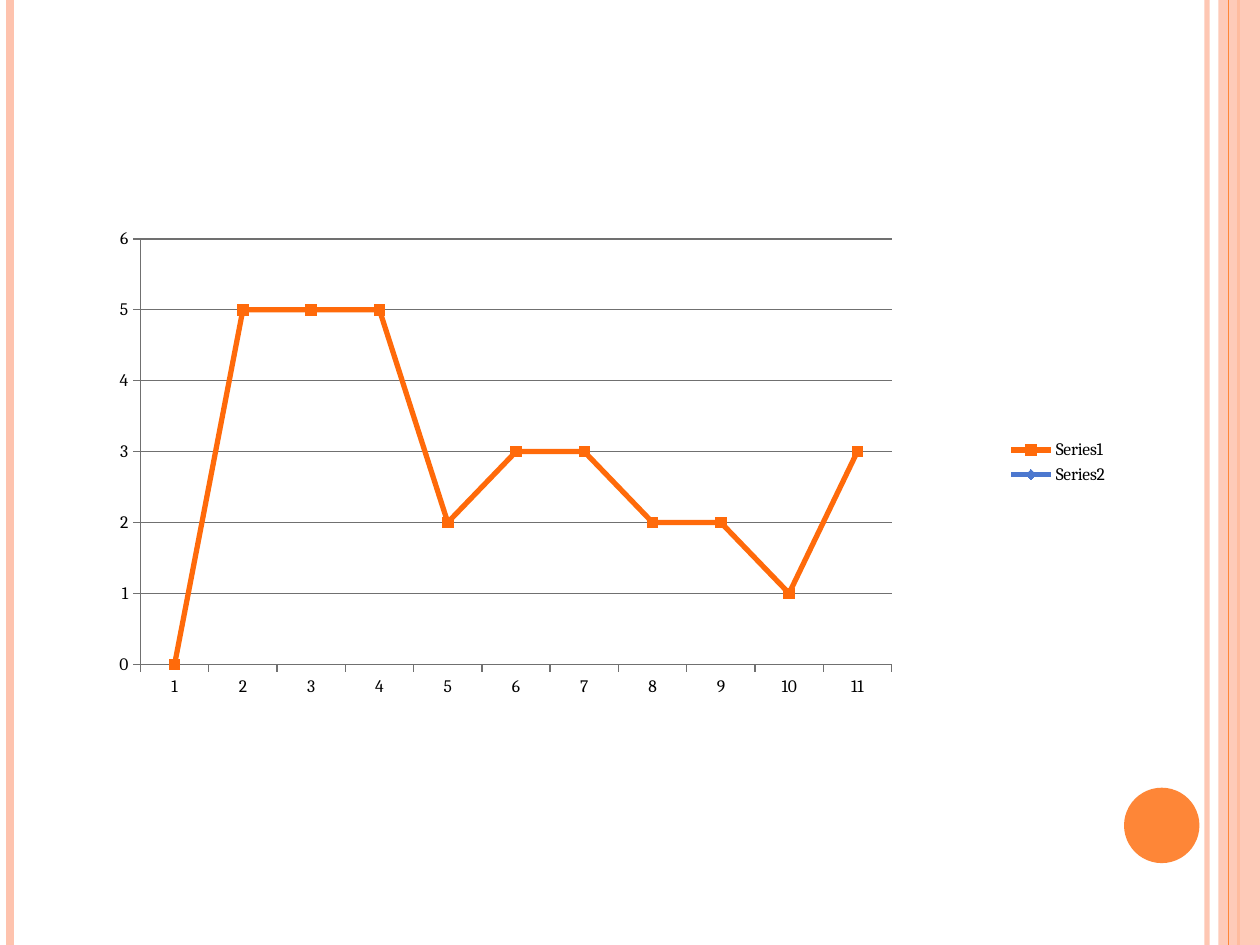
from lxml import etree
from pptx import Presentation
from pptx import util as u
from pptx.chart.data import CategoryChartData
from pptx.dml.color import RGBColor
from pptx.enum import chart as ch, shapes
from pptx.oxml import parse_xml
from pptx.oxml.ns import nsdecls, qn

WIDTH, HEIGHT = 25.4, 19.05
PEACH, ORANGE, AXIS_GREY = "FEC3AE", "FE8637", "707070"
LINE_STYLES = [("FF6A0A", ch.XL_MARKER_STYLE.SQUARE),
               ("4C78CF", ch.XL_MARKER_STYLE.DIAMOND)]


def rgb(value):
    return RGBColor.from_string(value)


def set_alpha(fill, percent):
    """Make the solid colour of a fill partly transparent."""
    color = fill._xPr.find(qn("a:solidFill"))[0]
    etree.SubElement(color, qn("a:alpha"), val=str(percent * 1000))


def add_stripe(slide, x, color, points, alpha=100):
    """Full-height vertical line."""
    stripe = slide.shapes.add_connector(
        shapes.MSO_CONNECTOR.STRAIGHT, u.Cm(x), 0, u.Cm(x), u.Cm(HEIGHT))
    stripe.line.color.rgb = rgb(color)
    stripe.line.width = u.Pt(points)
    if alpha < 100:
        set_alpha(stripe.line.fill, alpha)
    etree.SubElement(stripe._element.spPr, qn("a:effectLst"))


def add_filled(slide, kind, left, top, width, height, color, alpha=100):
    shape = slide.shapes.add_shape(
        kind, u.Cm(left), u.Cm(top), u.Cm(width), u.Cm(height))
    shape.shadow.inherit = False
    shape.fill.solid()
    shape.fill.fore_color.rgb = rgb(color)
    if alpha < 100:
        set_alpha(shape.fill, alpha)
    shape.line.fill.background()


def style_line(line, color, points):
    line.color.rgb = rgb(color)
    line.width = u.Pt(points)


def place_plot(chart, x, y, w, h):
    """Fix the inner plot area, in fractions of the chart."""
    plot_area = chart._chartSpace.chart.plotArea
    for old in plot_area.findall(qn("c:layout")):
        plot_area.remove(old)
    sizes = "".join(f'<c:{tag} val="{value}"/>'
                    for tag, value in zip("xywh", (x, y, w, h)))
    plot_area.insert(0, parse_xml(
        f'<c:layout {nsdecls("c")}><c:manualLayout>'
        '<c:layoutTarget val="inner"/><c:xMode val="edge"/><c:yMode val="edge"/>'
        f'{sizes}</c:manualLayout></c:layout>'))


def add_line_chart(slide):
    values = [0, 5, 5, 5, 2, 3, 3, 2, 2, 1, 3]
    data = CategoryChartData()
    data.categories = [str(n) for n in range(1, len(values) + 1)]
    data.add_series("Series1", values)
    data.add_series("Series2", [None] * len(values))
    chart = slide.shapes.add_chart(
        ch.XL_CHART_TYPE.LINE_MARKERS, u.Cm(1.57), u.Cm(3.96),
        u.Cm(21.03), u.Cm(10.72), data).chart

    chart.has_title = False
    chart.font.name = "Cambria"
    chart.font.size = u.Pt(10)
    chart.font.color.rgb = rgb("000000")
    chart.has_legend = True
    chart.legend.position = ch.XL_LEGEND_POSITION.RIGHT
    chart.legend.include_in_layout = False
    place_plot(chart, 0.06, 0.08, 0.72, 0.8)

    for axis in (chart.category_axis, chart.value_axis):
        axis.major_tick_mark = ch.XL_TICK_MARK.OUTSIDE
        axis.minor_tick_mark = ch.XL_TICK_MARK.NONE
        style_line(axis.format.line, AXIS_GREY, 0.75)
    scale = chart.value_axis
    scale.minimum_scale, scale.maximum_scale, scale.major_unit = 0, 6, 1
    scale.has_major_gridlines = True
    style_line(scale.major_gridlines.format.line, AXIS_GREY, 0.75)

    chart.plots[0].vary_by_categories = False
    for series, (color, marker_style) in zip(chart.plots[0].series, LINE_STYLES):
        series.smooth = False
        style_line(series.format.line, color, 3)
        series.marker.style = marker_style
        series.marker.size = 6
        series.marker.format.fill.solid()
        series.marker.format.fill.fore_color.rgb = rgb(color)
        series.marker.format.line.color.rgb = rgb(color)


def main():
    deck = Presentation()
    deck.slide_width, deck.slide_height = u.Cm(WIDTH), u.Cm(HEIGHT)
    slide = deck.slides.add_slide(deck.slide_layouts[6])

    add_stripe(slide, 24.33, PEACH, 3, alpha=93)
    add_stripe(slide, 0.2, PEACH, 4.5)
    add_stripe(slide, 24.97, ORANGE, 1.5)
    add_filled(slide, shapes.MSO_SHAPE.RECTANGLE,
               24.56, 0, WIDTH - 24.56, HEIGHT, PEACH, alpha=87)
    add_stripe(slide, 24.77, ORANGE, 0.75)
    add_filled(slide, shapes.MSO_SHAPE.OVAL, 22.66, 15.88, 1.52, 1.52, ORANGE)
    add_line_chart(slide)

    deck.save("out.pptx")


if __name__ == "__main__":
    main()
